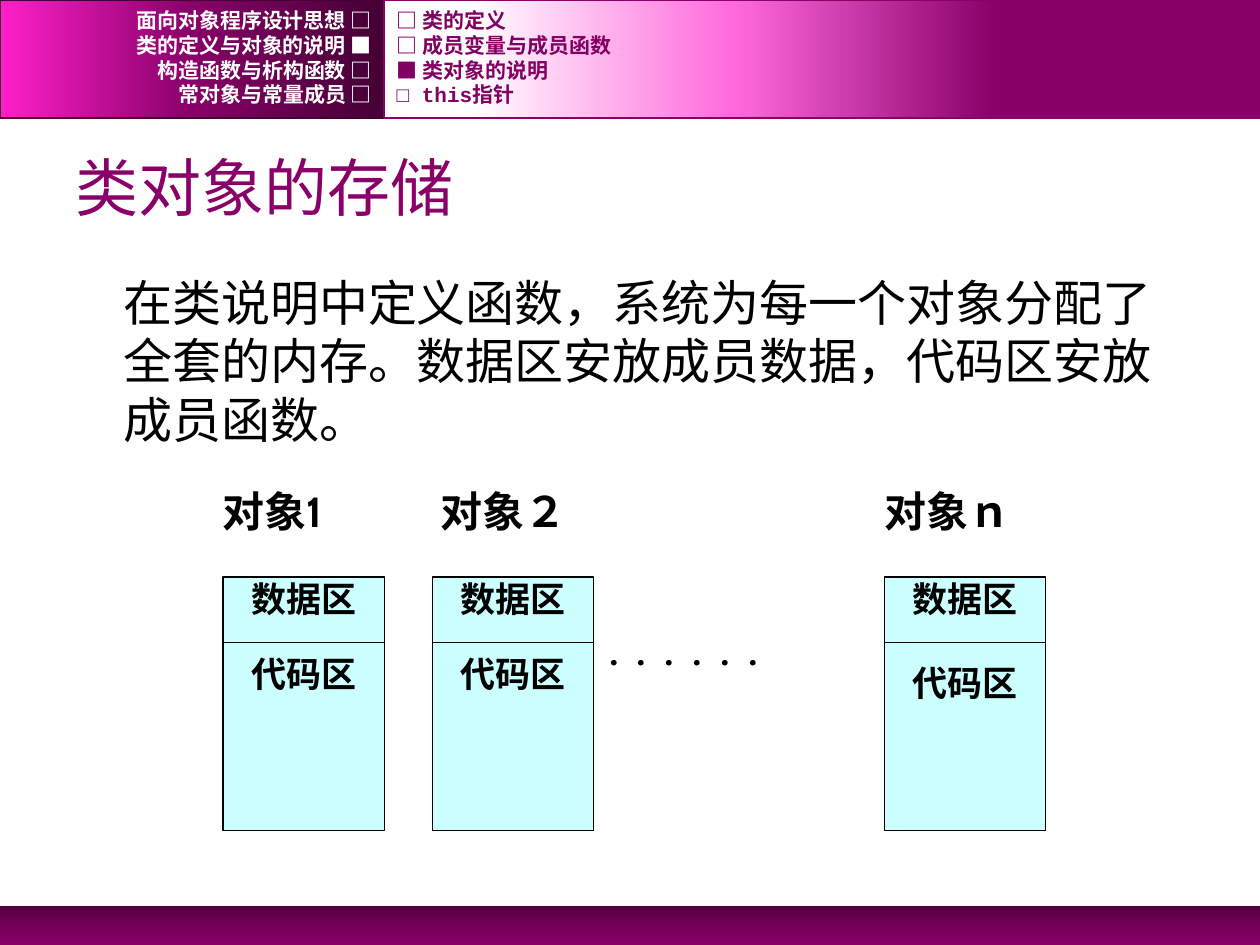
from copy import deepcopy

from lxml.etree import SubElement
from pptx import Presentation
from pptx.dml.color import RGBColor
from pptx.enum.shapes import MSO_CONNECTOR, MSO_SHAPE
from pptx.enum.text import MSO_ANCHOR, PP_ALIGN
from pptx.oxml.ns import qn
from pptx.util import Inches, Pt

# Content
TITLE = "类对象的存储"
BODY = "在类说明中定义函数，系统为每一个对象分配了全套的内存。数据区安放成员数据，代码区安放成员函数。"
CHAPTERS = ["面向对象程序设计思想 □", "类的定义与对象的说明 ■",
            "构造函数与析构函数 □", "常对象与常量成员 □"]
SECTIONS = ["□ 类的定义", "□ 成员变量与成员函数", "■ 类对象的说明", "□ this指针"]
AREAS = ["数据区", "代码区"]
ELLIPSIS = "．．．．．．"
# label, label left, box left, gap between areas (pt)
OBJECTS = [("对象1", 1.77, 1.77, 19), ("对象２", 3.5, 3.43, 19), ("对象ｎ", 7.02, 7.02, 24)]
# left, top, width, height, gradient stops, clockwise angle, border
BANDS = [
    (0, 7.19, 10, 0.31, [(0, "51003E"), (50, "730058"), (100, "880068")], 90, None),
    (0, 0, 3.05, 0.94, [(0, "440034"), (50, "880068"), (100, "FF1FCA")], 180, "440034"),
    (3.05, 0, 6.95, 0.94, [(30, "880068"), (60, "FF69DC"), (90, "FFFFFF")], 180, "880068"),
]
BOX_TOP, BOX_WIDTH, BOX_HEIGHT, DATA_HEIGHT = 4.58, 1.28, 2.01, 0.52
HEADER_TOP, HEADER_STEP = 0.06, 0.197

prs = Presentation()
prs.slide_width, prs.slide_height = Inches(10), Inches(7.5)
slide = prs.slides.add_slide(prs.slide_layouts[6])


def rgb(value):
    return RGBColor.from_string(value)


def write(frame, lines, font, size, color, bold=False, align=PP_ALIGN.LEFT,
          anchor=MSO_ANCHOR.TOP, inset=None, gap=0):
    frame.word_wrap = True
    frame.vertical_anchor = anchor
    if inset is not None:
        frame.margin_left = frame.margin_right = Inches(inset)
        frame.margin_top = frame.margin_bottom = Inches(inset)
    for i, line in enumerate(lines):
        paragraph = frame.paragraphs[0] if i == 0 else frame.add_paragraph()
        paragraph.text = line
        paragraph.alignment = align
        if i:
            paragraph.space_before = Pt(gap)
        paragraph.font.name, paragraph.font.size = font, Pt(size)
        paragraph.font.bold = bold
        paragraph.font.color.rgb = rgb(color)


def add_text(left, top, width, height, text, *style, **options):
    box = slide.shapes.add_textbox(Inches(left), Inches(top), Inches(width), Inches(height))
    write(box.text_frame, [text], *style, **options)
    return box.text_frame


def add_rect(left, top, width, height, border, border_width):
    rect = slide.shapes.add_shape(MSO_SHAPE.RECTANGLE, Inches(left), Inches(top),
                                  Inches(width), Inches(height))
    rect.shadow.inherit = False
    if border:
        rect.line.color.rgb = rgb(border)
        rect.line.width = Pt(border_width)
    else:
        rect.line.fill.background()
    return rect


def add_divider(left, top, width):
    divider = slide.shapes.add_connector(MSO_CONNECTOR.STRAIGHT, Inches(left), Inches(top),
                                         Inches(left + width), Inches(top))
    divider.line.color.rgb = rgb("000000")
    divider.line.width = Pt(0.75)
    SubElement(divider._element.spPr, qn("a:effectLst"))


# Header and footer bands
for left, top, width, height, stops, angle, border in BANDS:
    fill = add_rect(left, top, width, height, border, 1).fill
    fill.gradient()
    fill.gradient_angle = 360 - angle
    stop_list = fill._xPr.find(qn("a:gradFill")).find(qn("a:gsLst"))
    stop_list.append(deepcopy(stop_list[-1]))
    for stop, (position, color) in zip(fill.gradient_stops, stops):
        stop.position = position / 100
        stop.color.rgb = rgb(color)

# Title and body
add_text(0.5, 1.09, 9, 0.78, TITLE, "Arial", 36, "880068", anchor=MSO_ANCHOR.MIDDLE)
body = add_text(0.5, 2.11, 9, 1.6, BODY, "Arial", 28, "000000")
body.margin_left = Inches(0.48)

# Objects: label, memory box and divider between the two areas
for label, label_left, left, gap in OBJECTS:
    box = add_rect(left, BOX_TOP, BOX_WIDTH, BOX_HEIGHT, "000000", 0.75)
    box.fill.solid()
    box.fill.fore_color.rgb = rgb("CCFFFF")
    write(box.text_frame, AREAS, "Times New Roman", 20, "000000", bold=True,
          align=PP_ALIGN.CENTER, inset=0, gap=gap)
    add_divider(left, BOX_TOP + DATA_HEIGHT, BOX_WIDTH)
    add_text(label_left, 3.85, 1.3, 0.5, label, "Cabin", 24, "000000", bold=True,
             align=PP_ALIGN.JUSTIFY, inset=0)
add_text(4.81, 5.07, 2.22, 0.5, ELLIPSIS, "Times New Roman", 16, "000000", bold=True,
         align=PP_ALIGN.JUSTIFY, inset=0)

# Header navigation
for left, width, entries, color, align in [
    (0, 3.05, CHAPTERS, "FFFFFF", PP_ALIGN.RIGHT),
    (3.05, 6.02, SECTIONS, "820064", PP_ALIGN.LEFT),
]:
    for row, entry in enumerate(entries):
        add_text(left, HEADER_TOP + row * HEADER_STEP, width, 0.2, entry, "Courier New", 12,
                 color, bold=True, align=align, anchor=MSO_ANCHOR.MIDDLE)

prs.save("out.pptx")
